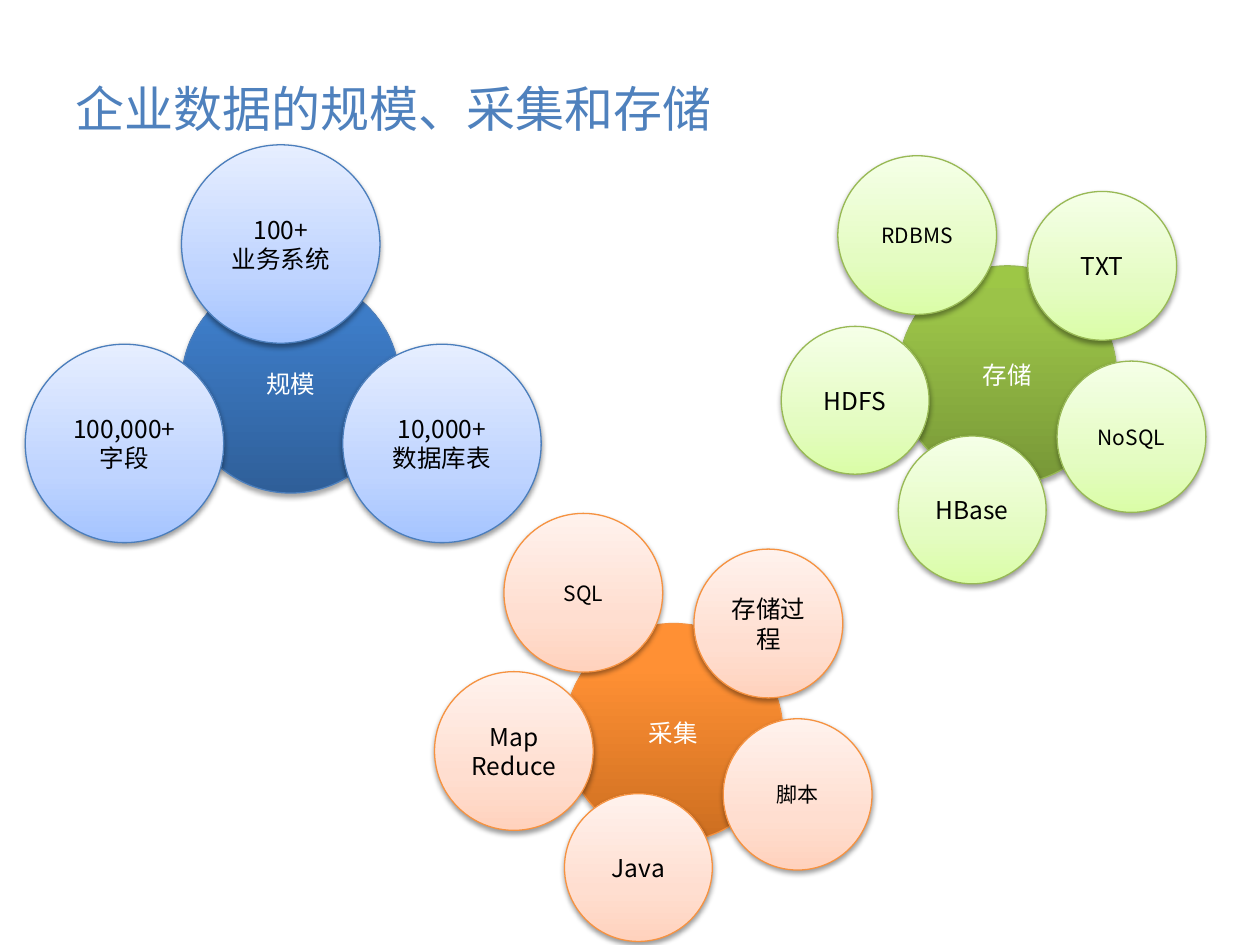
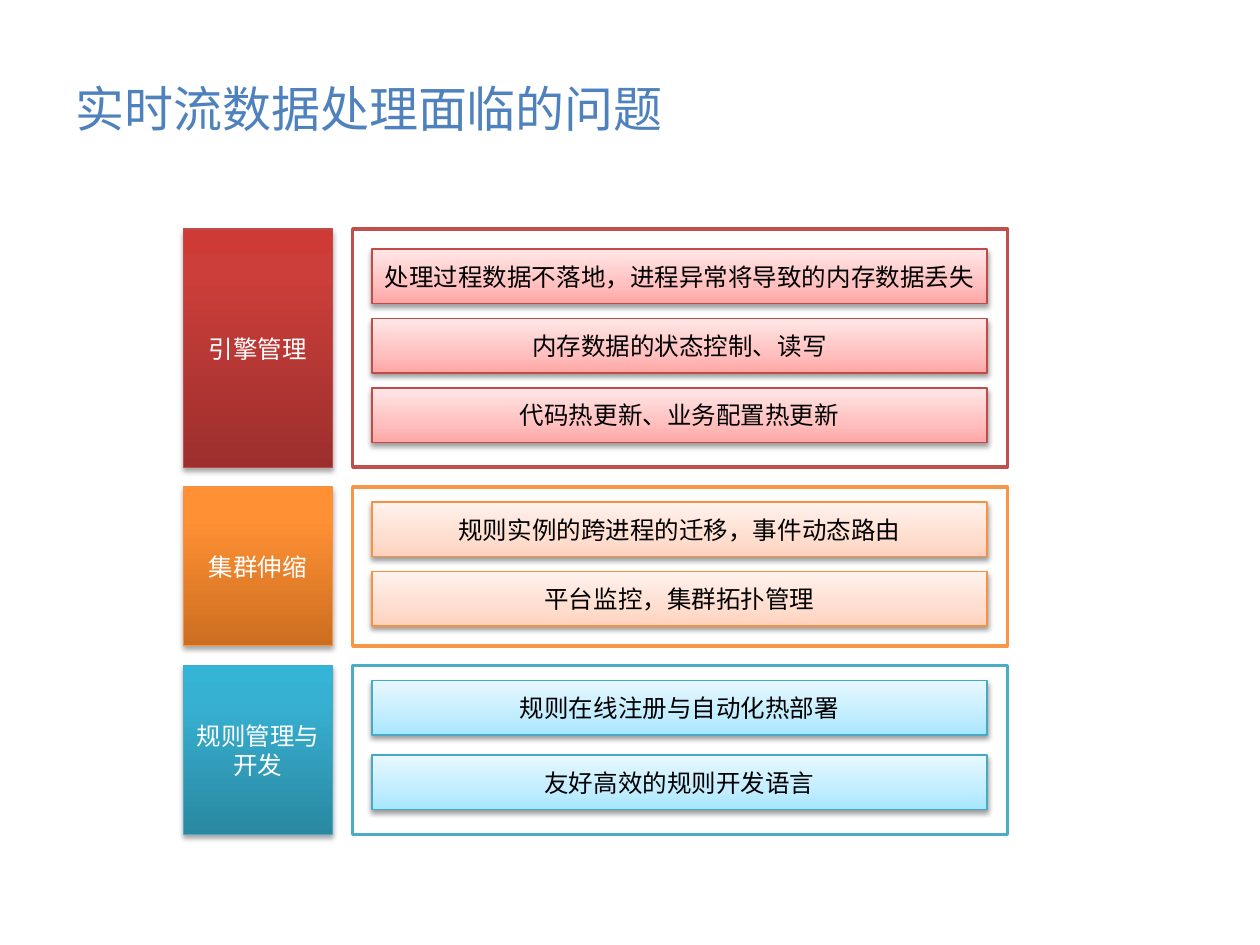
from pptx import Presentation
from pptx.dml.color import RGBColor
from pptx.enum.shapes import MSO_SHAPE
from pptx.enum.text import MSO_ANCHOR, MSO_AUTO_SIZE, PP_ALIGN
from pptx.oxml import parse_xml
from pptx.oxml.ns import nsdecls, qn
from pptx.util import Cm, Pt

OVAL, RECT = MSO_SHAPE.OVAL, MSO_SHAPE.RECTANGLE
MIDDLE, NO_FIT = MSO_ANCHOR.MIDDLE, MSO_AUTO_SIZE.NONE
LEFT, CENTER = PP_ALIGN.LEFT, PP_ALIGN.CENTER

FONT = "Noto Sans CJK SC"
BLACK, WHITE, TITLE = "000000", "FFFFFF", "4F81BD"

# Colours of each theme: dark and light gradients run from bottom to top
THEMES = {
    "blue": dict(line="4B7EBC", dark=("2F5F99", "3D7CC7", "3A7CCB"),
                 light=("A4C4FF", "BFD4FF", "E6EEFF")),
    "green": dict(line="98B955", dark=("779737", "9BC348", "9DC746"),
                  light=("DAFDA7", "E4FCC2", "F5FFE7")),
    "orange": dict(line="F69240", frame="F79646",
                   dark=("CC6E20", "FF9034", "FF9136"),
                   light=("FFD2BD", "FFDED0", "FFF2ED")),
    "red": dict(line="BF4C48", frame="C0504D",
                dark=("9C2F2D", "CB3E3A", "CE3B37"),
                light=("FFA6A5", "FFC0BF", "FFE7E7")),
    "teal": dict(line="46AAC5", frame="4BACC6",
                 dark=("2A88A2", "37B1D2", "34B4D6"),
                 light=("A7E6FF", "C1EDFF", "E7F8FF")),
}
# Middle stop, shadow opacity and shadow distance of each tone
TONES = {"dark": (80, 35, 1.8), "light": (35, 38, 1.6)}

# Petal slots: offset from the hub's corner, width, height (cm)
HUB = 4.4
TRIO = [(0, -2.62, 4, 4), (3.25, 1.4, 4, 4), (-3.15, 1.4, 4, 4)]
FOUR = [(-1.22, -2.22, 3.2, 3.2), (0, 3.43, 2.98, 2.98),
        (2.61, -1.5, 3, 3), (3.2, 1.92, 3, 3.05)]
STORE = FOUR + [(-2.36, 1.22, 2.98, 2.98)]
GATHER = FOUR + [(-2.62, 0.97, 3.2, 3.2)]

# Slide 1: theme, hub text, hub corner, slots, petals (text, size)
SCALE_TITLE = "企业数据的规模、采集和存储"
WHEELS = [
    ("blue", "规模", (3.66, 5.54), TRIO,
     [("100+\n业务系统", 14), ("10,000+\n数据库表", 14), ("100,000+\n字段", 14)]),
    ("green", "存储", (18.11, 5.36), STORE,
     [("RDBMS", 12), ("HBase", 14), ("TXT", 14), ("NoSQL", 12), ("HDFS", 14)]),
    ("orange", "采集", (11.38, 12.57), GATHER,
     [("SQL", 12), ("Java", 14), ("存储过程", 14), ("脚本", 12),
      ("Map Reduce", 14)]),
]

# Slide 2: theme, label, height, first bar offset, bar pitch, bars
ISSUE_TITLE = "实时流数据处理面临的问题"
BLOCKS = [
    ("red", "引擎管理", 4.8, 0.4, 1.4,
     ["处理过程数据不落地，进程异常将导致的内存数据丢失",
      "内存数据的状态控制、读写", "代码热更新、业务配置热更新"]),
    ("orange", "集群伸缩", 3.2, 0.3, 1.4,
     ["规则实例的跨进程的迁移，事件动态路由", "平台监控，集群拓扑管理"]),
    ("teal", "规则管理与开发", 3.4, 0.3, 1.5,
     ["规则在线注册与自动化热部署", "友好高效的规则开发语言"]),
]
TOP, GAP, BAR = 4.62, 0.4, 1.1
LABEL_X, LABEL_W = 3.7, 3
FRAME_X, FRAME_W = 7.11, 13.2
BAR_X, BAR_W = 7.5, 12.4


def rgb(code):
    return RGBColor.from_string(code)


def write(frame, text, size=14, color=BLACK, align=CENTER):
    frame.word_wrap = True
    frame.auto_size = NO_FIT
    frame.vertical_anchor = MIDDLE
    frame.text = text
    for para in frame.paragraphs:
        para.alignment = align
        for run in para.runs:
            font = run.font
            font.size, font.name = Pt(size), FONT
            font.color.rgb = rgb(color)
            face = parse_xml(f'<a:ea {nsdecls("a")} typeface="{FONT}"/>')
            font._element.find(qn("a:latin")).addnext(face)


def shape(slide, kind, box, line, width=0.75):
    item = slide.shapes.add_shape(kind, *map(Cm, box))
    item.shadow.inherit = False
    item.fill.solid()
    item.fill.fore_color.rgb = rgb(WHITE)
    item.line.color.rgb = rgb(line)
    item.line.width = Pt(width)
    return item


def glossy(slide, kind, box, theme, tone, text, size=14):
    """Add a shape with gradient, soft shadow and centred text."""
    look = THEMES[theme]
    mid, alpha, dist = TONES[tone]
    item = shape(slide, kind, box, look["line"])
    stops = "".join(
        f'<a:gs pos="{pos * 1000}"><a:srgbClr val="{code}"/></a:gs>'
        for pos, code in zip((0, mid, 100), look[tone]))
    props = item._element.spPr
    props.replace(props.find(qn("a:solidFill")), parse_xml(
        f'<a:gradFill {nsdecls("a")} rotWithShape="1"><a:gsLst>{stops}</a:gsLst>'
        '<a:lin ang="16200000" scaled="0"/></a:gradFill>'))
    props.find(qn("a:effectLst")).append(parse_xml(
        f'<a:outerShdw {nsdecls("a")} blurRad="{Pt(3.1)}" dist="{Pt(dist)}" '
        'dir="5400000" rotWithShape="0"><a:srgbClr val="000000">'
        f'<a:alpha val="{alpha * 1000}"/></a:srgbClr></a:outerShdw>'))
    write(item.text_frame, text, size, WHITE if tone == "dark" else BLACK)


def page(deck, text):
    slide = deck.slides.add_slide(deck.slide_layouts[5])
    title = slide.shapes.title
    title.left, title.top = Cm(1.27), Cm(1.2)
    title.width, title.height = Cm(15.45), Cm(1.95)
    write(title.text_frame, text, size=28, color=TITLE, align=LEFT)
    return slide


def main():
    deck = Presentation()
    deck.slide_width, deck.slide_height = Cm(25.4), Cm(19.05)

    # Hubs with their petals
    slide = page(deck, SCALE_TITLE)
    for theme, hub, (x, y), slots, petals in WHEELS:
        glossy(slide, OVAL, (x, y, HUB, HUB), theme, "dark", hub)
        for (dx, dy, w, h), (text, size) in zip(slots, petals):
            glossy(slide, OVAL, (x + dx, y + dy, w, h), theme, "light",
                   text, size)

    # Stacked blocks: label, frame and bars
    slide = page(deck, ISSUE_TITLE)
    top = TOP
    for theme, label, high, pad, pitch, bars in BLOCKS:
        shape(slide, RECT, (FRAME_X, top, FRAME_W, high),
              THEMES[theme]["frame"], width=2)
        glossy(slide, RECT, (LABEL_X, top, LABEL_W, high), theme, "dark", label)
        for i, text in enumerate(bars):
            glossy(slide, RECT, (BAR_X, top + pad + i * pitch, BAR_W, BAR),
                   theme, "light", text)
        top += high + GAP

    deck.save("out.pptx")


if __name__ == "__main__":
    main()
